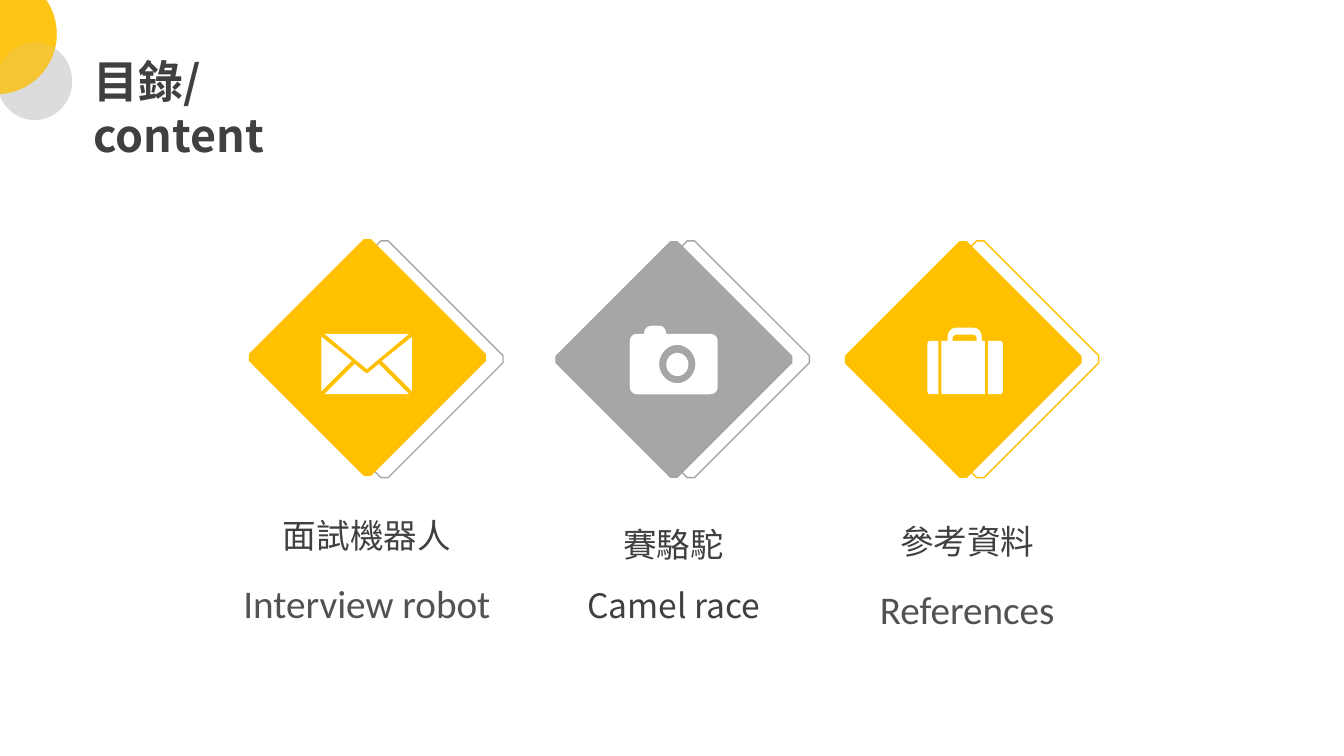
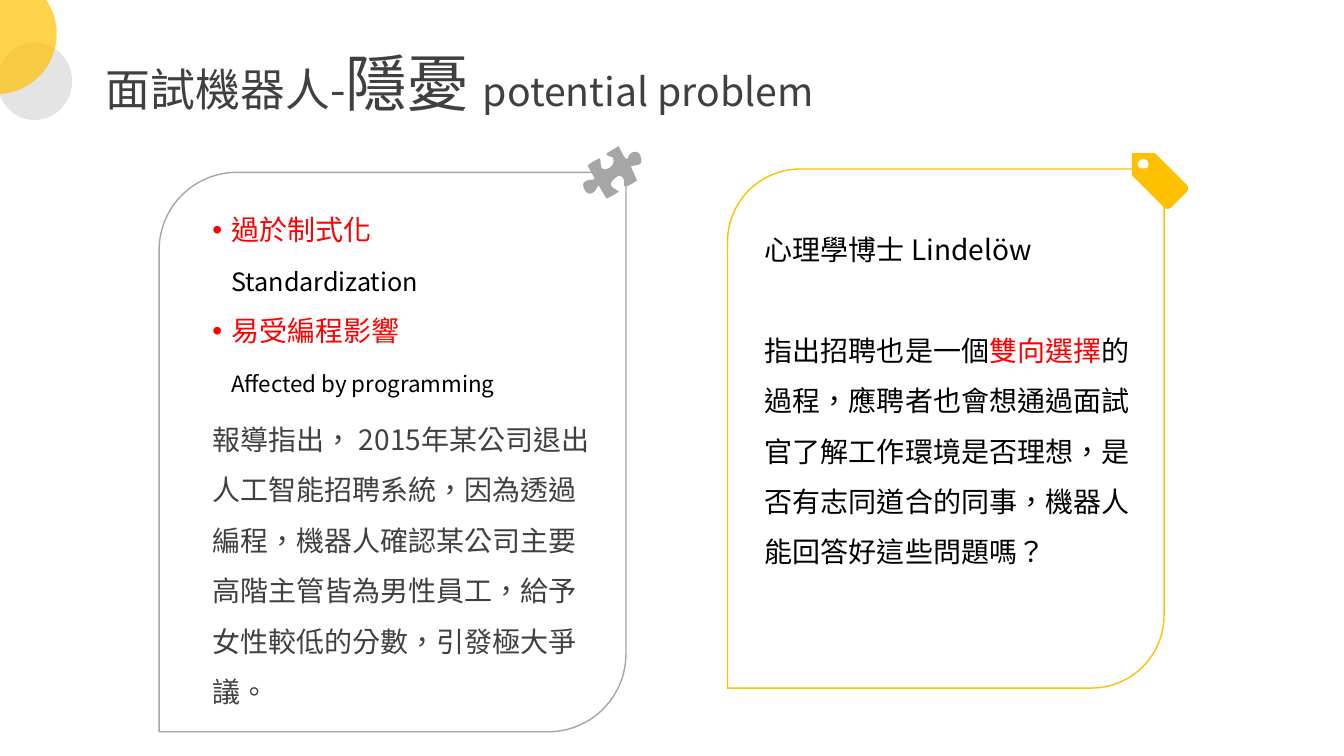
from pptx import Presentation
from pptx.dml import color as dml
from pptx.enum import shapes, text
from pptx.oxml import ns
from pptx import util as u

Pt = u.Pt
COLOURS = {
    "gold": "FFC000",
    "grey": "A6A6A6",
    "pale": "D9D9D9",
    "ink": "404040",
    "black": "000000",
    "red": "FF0000",
    "white": "FFFFFF",
}
CJK_FONT = "Noto Sans CJK SC"
LATIN_FONT = "Calibri"
OVAL = shapes.MSO_SHAPE.OVAL
RECTANGLE = shapes.MSO_SHAPE.RECTANGLE
GRID = 0.72  # points per cell of the grid the icons are drawn on
DIAMOND = 169.2
OUTLINE_SHIFT = 12.25
OUTLINE_TOP = 172


def ring(x, y, across, down):
    h, v = round(across * 0.55), round(down * 0.55)
    return [
        (x, y + down),
        (x - h, y + down, x - across, y + v, x - across, y),
        (x - across, y - v, x - h, y - down, x, y - down),
        (x + h, y - down, x + across, y - v, x + across, y),
        (x + across, y + v, x + h, y + down, x, y + down),
    ]


# Icons: a piece is a preset with its box, or a list of contours.
# In a contour a pair is a corner and six numbers are a cubic curve.
ENVELOPE = [
    [[(117, 129), (159, 94), (158, 94), (76, 94), (75, 94)]],
    [[(162, 98), (162, 97), (132, 121), (162, 151), (162, 150)]],
    [[(72, 97), (72, 98), (72, 150), (72, 151), (102, 121)]],
    [[(129, 124), (118, 133), (116, 133), (105, 124), (75, 154), (159, 154)]],
]
CAMERA = [
    (OVAL, (110, 111, 22, 23)),
    [
        [(153, 92), (110, 92), (110, 87, 107, 84, 103, 84), (96, 84),
         (91, 84, 88, 87, 88, 92), (81, 92), (77, 92, 74, 95, 74, 99), (81, 99),
         (85, 99, 88, 102, 88, 107), (88, 137), (88, 141, 85, 145, 81, 145), (74, 145),
         (74, 149, 77, 152, 81, 152), (153, 152), (158, 152, 161, 149, 161, 145),
         (161, 99), (161, 95, 158, 92, 153, 92)],
        ring(121, 122, 18, 19),
        ring(148, 108, 5, 5),
    ],
    (RECTANGLE, (143, 103, 11, 11)),
    (OVAL, (143, 103, 11, 11)),
    (RECTANGLE, (74, 99, 14, 45)),
    [[(81, 99), (74, 99), (74, 145), (81, 145), (85, 145, 88, 142, 88, 137),
      (88, 107), (88, 102, 85, 99, 81, 99)]],
]
SUITCASE = [
    [[(154, 99), (142, 99), (142, 152), (154, 152), (155, 152, 157, 151, 157, 149),
      (157, 102), (157, 100, 155, 99, 154, 99)]],
    [
        [(136, 99), (136, 96), (136, 89, 132, 86, 128, 86), (110, 86),
         (105, 86, 102, 91, 102, 96), (102, 99), (96, 99), (96, 152), (139, 152), (139, 99)],
        [(131, 99), (107, 99), (107, 96), (107, 96, 107, 93, 110, 93), (128, 93),
         (128, 93, 131, 93, 131, 96)],
    ],
    [[(93, 99), (85, 99), (83, 99, 82, 100, 82, 102), (82, 149),
      (82, 151, 83, 152, 85, 152), (93, 152)]],
]
PUZZLE = [[
    [(37, 0), (39, 4, 42, 12, 45, 13), (46, 12), (47, 5, 58, 2, 59, 12),
     (61, 21, 53, 18, 49, 20), (51, 25, 53, 29, 55, 34), (52, 36, 47, 40, 43, 40),
     (42, 39), (44, 31, 38, 25, 31, 34), (24, 40, 37, 44, 37, 45),
     (33, 48, 29, 50, 25, 52), (22, 48, 20, 44, 17, 39), (16, 40),
     (14, 46, 6, 52, 2, 41), (0, 33, 7, 34, 12, 33), (13, 32),
     (11, 28, 8, 23, 6, 19), (10, 16, 14, 14, 18, 12), (21, 15, 16, 23, 24, 23),
     (30, 22, 34, 16, 31, 11), (29, 10, 26, 10, 25, 9), (25, 7), (29, 5, 33, 2, 37, 0)],
]]
TAG = [[
    [(54, 31), (23, 0), (0, 0), (0, 22), (32, 54), (32, 54, 35, 57, 39, 54),
     (54, 39), (54, 39, 58, 35, 54, 31)],
    [(15, 15), (13, 16, 9, 16, 8, 15), (5, 13, 5, 9, 8, 7), (9, 5, 13, 5, 15, 7),
     (17, 9, 17, 13, 15, 15)],
]]


# Shared helpers
def rgb(name):
    return dml.RGBColor.from_string(COLOURS[name])


def add_child(parent, tag, **attributes):
    child = parent.makeelement(ns.qn(tag), attributes)
    parent.append(child)
    return child


def set_opacity(element, percent):
    for colour in element.iter(ns.qn("a:srgbClr")):
        add_child(colour, "a:alpha", val=str(percent * 1000))


def paint(shape, fill=None, line=None):
    shape.shadow.inherit = False
    if fill:
        shape.fill.solid()
        shape.fill.fore_color.rgb = rgb(fill)
    else:
        shape.fill.background()
    if line:
        shape.line.color.rgb = rgb(line)
        shape.line.width = Pt(1)
    else:
        shape.line.fill.background()


def add_preset(page, kind, box, fill=None, line=None):
    shape = page.shapes.add_shape(kind, *map(Pt, box))
    paint(shape, fill, line)
    return shape


def add_outline(page, contours, left, top, colour):
    builder = page.shapes.build_freeform(*contours[0][0], scale=Pt(GRID))
    for index, contour in enumerate(contours):
        if index:
            builder.move_to(*contour[0])
        builder.add_line_segments([part[-2:] for part in contour[1:]], close=True)
    shape = builder.convert_to_shape(Pt(left), Pt(top))
    paint(shape, fill=colour)
    # Turn the straight segments that stand for curves into cubic ones
    parts = [part for contour in contours for part in contour]
    min_x, min_y = (min(part[axis] for part in parts) for axis in (-2, -1))
    segments = list(shape.element.iter(ns.qn("a:moveTo"), ns.qn("a:lnTo")))
    for segment, part in zip(segments, parts):
        if len(part) == 6:
            curve = segment.makeelement(ns.qn("a:cubicBezTo"), {})
            for x, y in zip(part[::2], part[1::2]):
                add_child(curve, "a:pt", x=str(x - min_x), y=str(y - min_y))
            segment.getparent().replace(segment, curve)


def add_icon(page, pieces, left, top, colour):
    for piece in pieces:
        if isinstance(piece, tuple):
            kind, (x, y, width, height) = piece
            box = (left + x * GRID, top + y * GRID, width * GRID, height * GRID)
            add_preset(page, kind, box, fill=colour)
        else:
            add_outline(page, piece, left, top, colour)


def add_span(para, words, size=20, colour="ink", font=CJK_FONT, bold=False, opacity=None):
    span = para.add_run()
    span.text = words
    span.font.size = Pt(size)
    span.font.bold = bold
    span.font.name = font
    span.font.color.rgb = rgb(colour)
    props = span.font._element
    props.set("lang", "zh-TW")
    add_child(props, "a:ea", typeface=font)
    if opacity:
        set_opacity(props, opacity)


def add_para(frame, spans, spacing=1.5, align=text.PP_ALIGN.LEFT, before=0,
             indent=0, bullet=False):
    para = frame.paragraphs[0]
    if para.runs:
        para = frame.add_paragraph()
    para.alignment = align
    para.line_spacing = spacing
    para.space_before = Pt(before)
    props = para._p.get_or_add_pPr()
    if indent:
        props.set("marL", str(Pt(indent)))
        props.set("indent", str(-Pt(indent) if bullet else 0))
    if bullet:
        add_child(props, "a:buFont", typeface="Arial")
        add_child(props, "a:buChar", char="•")
    for words, style in spans:
        add_span(para, words, **style)


def add_text_box(page, box):
    frame = page.shapes.add_textbox(*map(Pt, box)).text_frame
    frame.word_wrap = True
    return frame


def set_title(page, box, spans):
    title = page.shapes.title
    title.left, title.top, title.width, title.height = map(Pt, box)
    frame = title.text_frame
    frame.word_wrap = True
    frame.auto_size = text.MSO_AUTO_SIZE.NONE
    frame.vertical_anchor = text.MSO_ANCHOR.TOP
    add_para(frame, spans, spacing=1)


def add_corner_circles(page):
    circles = []
    for box, colour in (((-2, 30.25, 53.5, 55.5), "pale"), ((-45.5, -18.75, 86, 86), "gold")):
        disc = add_preset(page, OVAL, box, fill=colour)
        set_opacity(disc.element, 70)
        circles.append(disc)
    return circles


def move_to_layout(discs, layout):
    for number, disc in enumerate(discs):
        disc.element.nvSpPr.cNvPr.set("id", str(100 + number))
        layout.shapes.element.append(disc.element)


# Contents slide
def add_topic(page, left, top, colour, line, icon, caption_box, captions):
    octagon = shapes.MSO_SHAPE.OCTAGON
    for box, look in (
        ((left + OUTLINE_SHIFT, OUTLINE_TOP, DIAMOND, DIAMOND), {"line": line}),
        ((left, top, DIAMOND, DIAMOND), {"fill": colour}),
    ):
        add_preset(page, octagon, box, **look).adjustments[0] = 0.485
    add_icon(page, icon, left, top, "white")
    frame = add_text_box(page, caption_box)
    for words, spacing, style in captions:
        add_para(frame, [(words, style)], spacing, text.PP_ALIGN.CENTER)


def build_contents(page):
    set_title(page, (59.5, 35, 174, 84), [("目錄/content", {"size": 32, "bold": True})])
    chinese = {"size": 24}
    english = {"size": 28, "font": LATIN_FONT, "opacity": 89}
    add_topic(page, 177.8, 170.75, "gold", "grey", ENVELOPE, (143.3, 364.3, 237.6, 87),
              [("面試機器人", 1, chinese), ("Interview robot", 1.5, english)])
    add_topic(page, 396.7, 172.2, "grey", "grey", CAMERA, (393.8, 356.4, 175, 89),
              [("賽駱駝", 1.5, chinese), ("Camel race", 1.5, chinese)])
    add_topic(page, 603.4, 172.2, "gold", "gold", SUITCASE, (603.4, 368.6, 175, 87),
              [("參考資料", 1, chinese), ("References", 1.5, english)])


# Problem slide
def add_card(page, box, colour, icon, icon_shift, text_shift, text_size):
    left, top, width, _ = box
    add_preset(page, shapes.MSO_SHAPE.ROUND_2_DIAG_RECTANGLE, box, line=colour)
    add_icon(page, icon, left + width + icon_shift[0], top + icon_shift[1], colour)
    return add_text_box(page, (left + text_shift[0], top + text_shift[1], *text_size))


def build_problem(page):
    set_title(page, (68.4, 28.25, 535.5, 94), [
        ("面試機器人-", {"size": 32}),
        ("隱憂 ", {"size": 44}),
        ("potential problem", {"size": 28}),
    ])
    # Left card: weaknesses
    frame = add_card(page, (113.6, 123.1, 333.5, 399.6), "grey", PUZZLE,
                     (-31.7, -18.7), (31, 13.5), (292.5, 413))
    for point, translation, size, before in (
        ("過於制式化", "Standardization", 18, 3.5),
        ("易受編程影響", "Affected by programming", 16, 7),
    ):
        add_para(frame, [(point, {"colour": "red"})], indent=13.5, bullet=True)
        add_para(frame, [(translation, {"size": size, "colour": "black"})],
                 before=before, indent=13.5)
    add_para(frame, [("報導指出， 2015年某公司退出人工智能招聘系統，因為透過編程，"
                      "機器人確認某公司主要高階主管皆為男性員工，給予女性較低的分數，"
                      "引發極大爭議。", {})], before=6)
    # Right card: expert view
    frame = add_card(page, (519.7, 120.7, 311.8, 370.8), "gold", TAG,
                     (-23, -11.3), (19.5, 29.75), (292.5, 262))
    black = {"colour": "black"}
    add_para(frame, [("心理學博士 Lindelöw", black)])
    add_para(frame, [
        ("指出招聘也是一個", black),
        ("雙向選擇", {"colour": "red"}),
        ("的過程，應聘者也會想通過面試官了解工作環境是否理想，"
         "是否有志同道合的同事，機器人能回答好這些問題嗎？", black),
    ], before=36)


def main():
    deck = Presentation()
    deck.slide_width, deck.slide_height = Pt(960), Pt(540)
    layout = deck.slide_layouts.get_by_name("Title Only")
    contents, problem = (deck.slides.add_slide(layout) for _ in range(2))
    move_to_layout(add_corner_circles(contents), layout)
    add_corner_circles(contents)
    build_contents(contents)
    build_problem(problem)
    deck.save("out.pptx")


if __name__ == "__main__":
    main()
